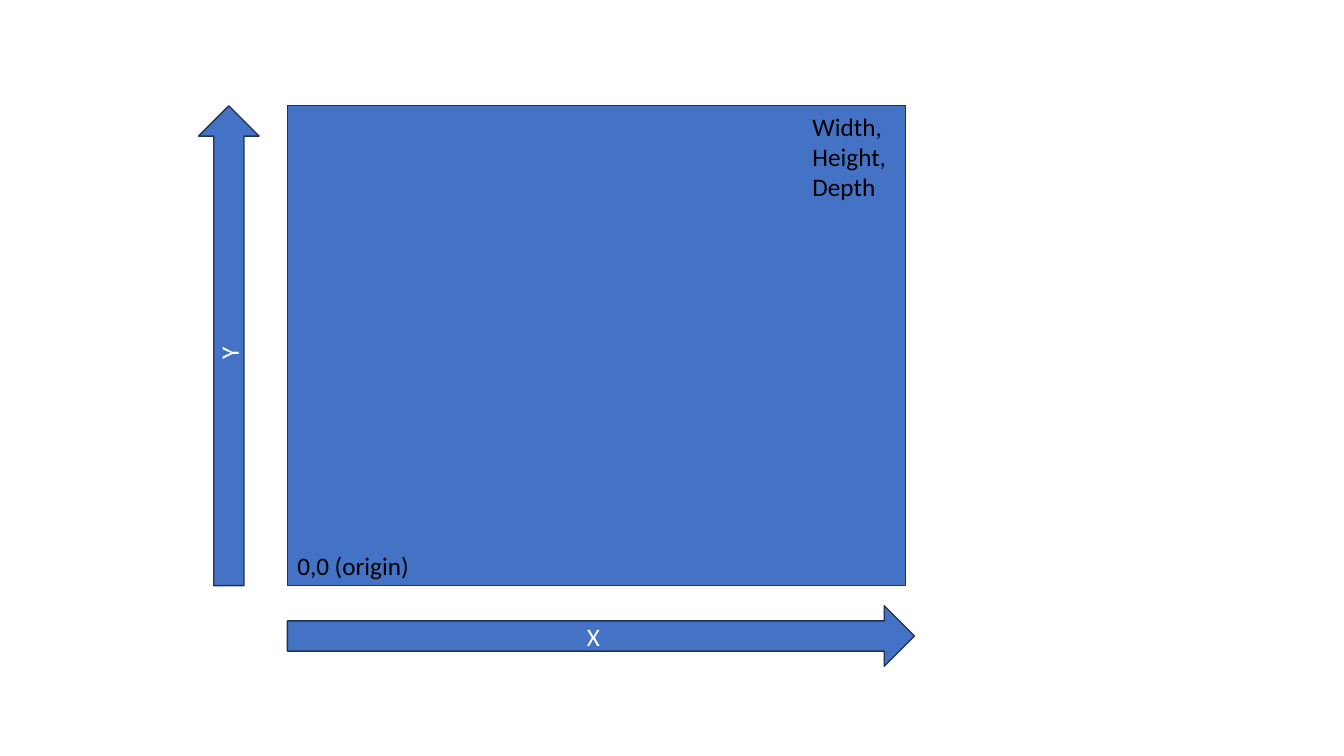
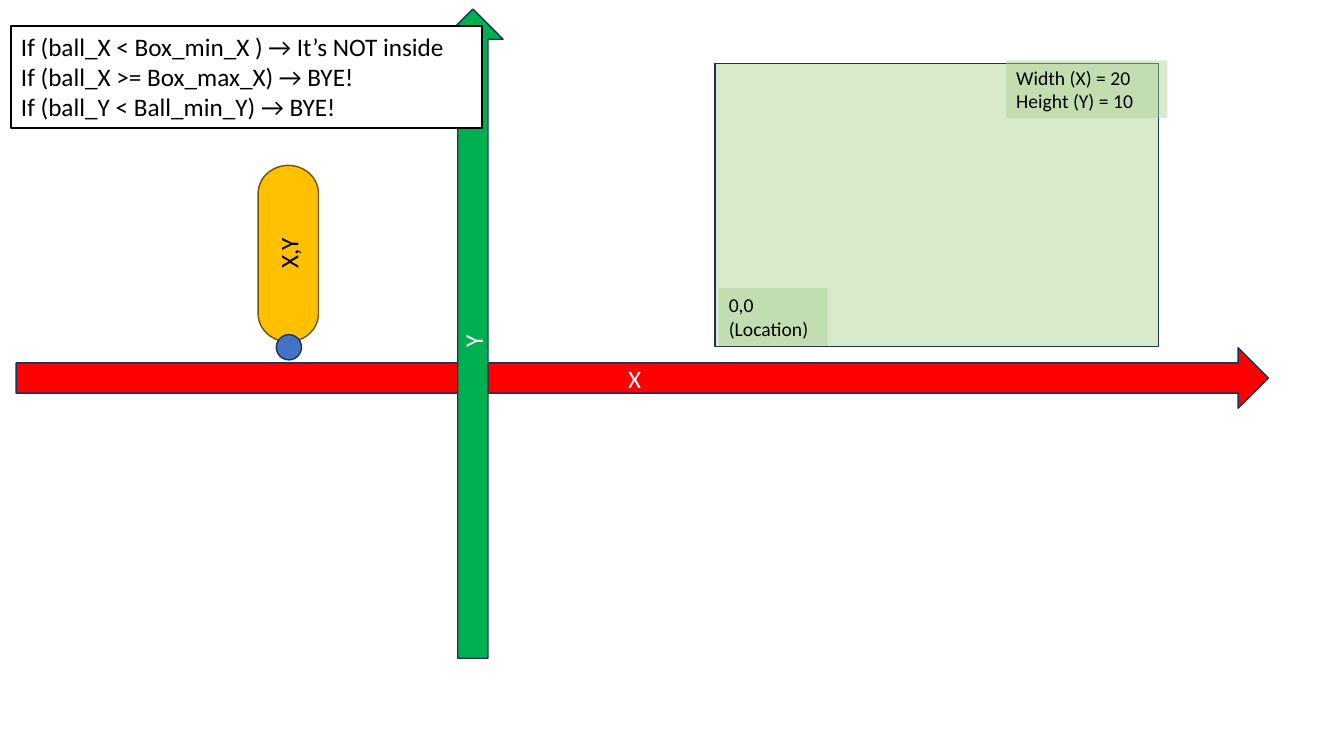
from pptx import Presentation
from pptx.dml.color import RGBColor
from pptx.enum.shapes import MSO_SHAPE
from pptx.enum.text import MSO_ANCHOR, PP_ALIGN
from pptx.oxml.ns import qn
from pptx.util import Inches, Pt
from lxml.etree import SubElement

COLORS = {
    "blue": "4472C4", "navy": "1E3256", "green": "00B050", "red": "FF0000",
    "gold": "FFC000", "brown": "705400", "leaf": "A9D18E",
    "white": "FFFFFF", "black": "000000",
}
FONT = "Calibri"
LEAF_OPACITY = 45
ARROW_HEIGHT = 0.6

# Content: each slide is a list of groups, each group a list of shapes.
# Frames are left, top, width, height as they show on the slide.
AXIS = dict(kind=MSO_SHAPE.RIGHT_ARROW, line="navy", color="white", centered=True)
LABEL = dict(color="black")
ZONE = dict(fill="leaf", opacity=LEAF_OPACITY)

SCREEN_SLIDE = [
    [dict(frame=(2.85, 1.05, 6.13, 4.76), fill="blue", line="navy")],
    [dict(AXIS, frame=(2.85, 6.01, 6.22, ARROW_HEIGHT), fill="blue", lines=["X"])],
    [dict(AXIS, frame=(1.97, 1.05, ARROW_HEIGHT, 4.76), fill="blue", lines=["Y"],
          upright=True)],
    [dict(LABEL, frame=(2.85, 5.41, 1.51, 0.4), lines=["0,0 (origin)"])],
    [dict(LABEL, frame=(7.96, 1.05, 1.02, 1.01), lines=["Width, Height, Depth"])],
]

COLLISION_SLIDE = [
    # Target box with its corner labels
    [
        dict(ZONE, frame=(7.09, 0.63, 4.4, 2.81), line="navy"),
        dict(ZONE, **LABEL, frame=(7.13, 2.86, 1.08, 0.57), size=14,
             lines=["0,0 (Location)"]),
        dict(ZONE, **LABEL, frame=(9.98, 0.6, 1.6, 0.57), size=14,
             lines=["Width (X) = 20", "Height (Y) = 10"]),
    ],
    [dict(AXIS, frame=(0.16, 3.45, 12.42, ARROW_HEIGHT), fill="red", lines=["X"])],
    [dict(AXIS, frame=(4.39, 0.09, ARROW_HEIGHT, 6.44), fill="green", lines=["Y"],
          upright=True)],
    [dict(LABEL, frame=(0.11, 0.26, 4.67, 1.01), fill="white", line="black", lines=[
        "If (ball_X < Box_min_X ) → It’s NOT inside",
        "If (ball_X >= Box_max_X) → BYE!",
        "If (ball_Y < Ball_min_Y) → BYE!",
    ])],
    # Launcher with its ball
    [
        dict(kind=MSO_SHAPE.FLOWCHART_TERMINATOR, frame=(2.56, 1.64, 0.6, 1.75),
             fill="gold", line="brown", color="black", centered=True,
             lines=["X,Y"], upright=True),
        dict(kind=MSO_SHAPE.OVAL, frame=(2.74, 3.32, 0.25, 0.25),
             fill="blue", line="navy"),
    ],
]


def rgb(name):
    return RGBColor.from_string(COLORS[name])


def paint(box, fill, line, opacity):
    box.shadow.inherit = False
    box.fill.solid()
    box.fill.fore_color.rgb = rgb(fill)
    if opacity < 100:
        color = box.fill._xPr.find(qn("a:solidFill"))[0]
        SubElement(color, qn("a:alpha"), val=str(opacity * 1000))
    if line:
        box.line.color.rgb = rgb(line)
        box.line.width = Pt(1)
    else:
        box.line.fill.background()


def write(box, lines, color, size, centered):
    frame = box.text_frame
    frame.word_wrap = True
    frame.vertical_anchor = MSO_ANCHOR.MIDDLE if centered else MSO_ANCHOR.TOP
    for index, line in enumerate(lines):
        para = frame.paragraphs[0] if index == 0 else frame.add_paragraph()
        para.text = line
        para.alignment = PP_ALIGN.CENTER if centered else PP_ALIGN.LEFT
        para.font.name = FONT
        para.font.size = Pt(size)
        para.font.color.rgb = rgb(color)


def draw(shapes, frame, kind=MSO_SHAPE.RECTANGLE, fill=None, line=None, opacity=100,
         lines=(), color="black", size=18, centered=False, upright=False):
    left, top, width, height = frame
    if upright:  # a wide shape turned a quarter about its centre
        shift = (height - width) / 2
        left, top, width, height = left - shift, top + shift, height, width
    place = [Inches(length) for length in (left, top, width, height)]
    if fill:
        box = shapes.add_shape(kind, *place)
        paint(box, fill, line, opacity)
    else:
        box = shapes.add_textbox(*place)
    if upright:
        box.rotation = 270
    if lines:
        write(box, lines, color, size, centered)


def main():
    deck = Presentation()
    deck.slide_width, deck.slide_height = Inches(13.33), Inches(7.5)
    blank = deck.slide_layouts[6]
    for groups in (SCREEN_SLIDE, COLLISION_SLIDE):
        page = deck.slides.add_slide(blank)
        for group in groups:
            grouped = len(group) > 1
            shapes = page.shapes.add_group_shape().shapes if grouped else page.shapes
            for item in group:
                draw(shapes, **item)
    deck.save("out.pptx")


if __name__ == "__main__":
    main()
